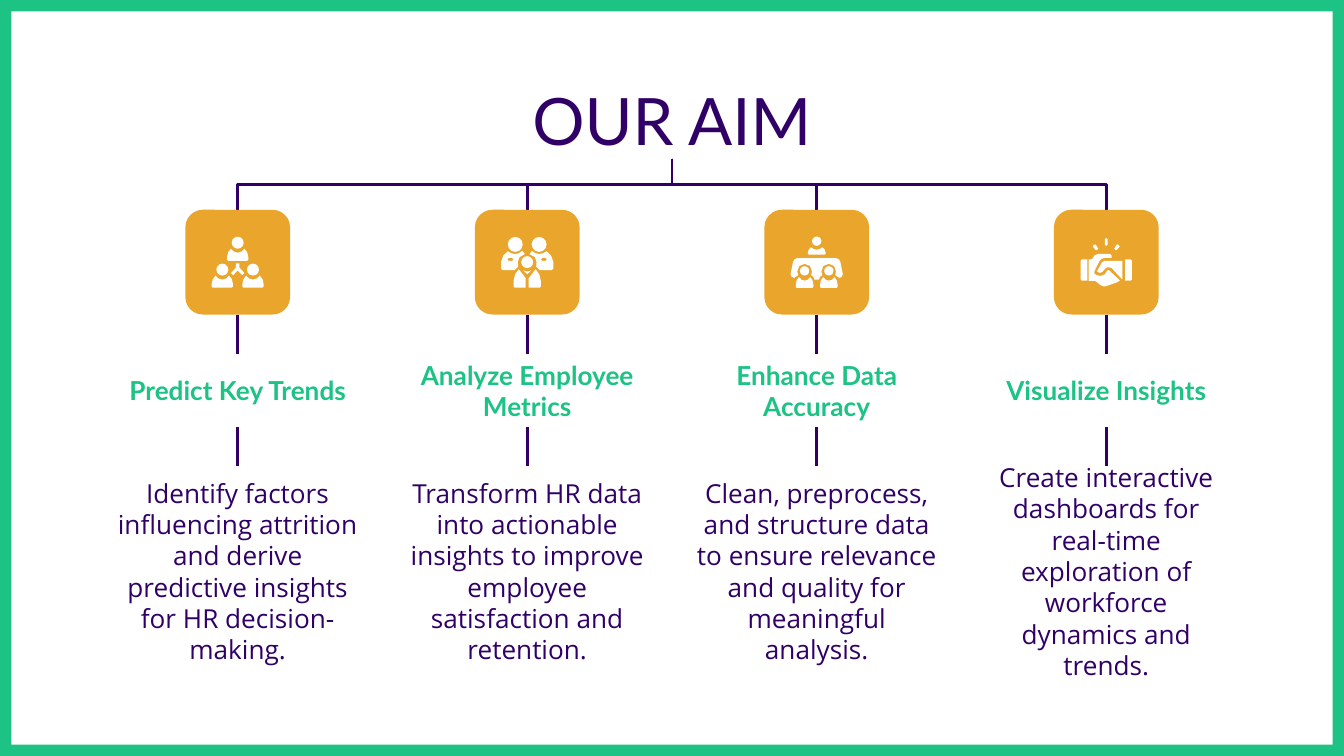
"""Build the "Our aim" slide: a title that branches into four icon columns."""
from dataclasses import dataclass

from lxml.etree import SubElement
from pptx import Presentation
from pptx.dml.color import RGBColor
from pptx.enum.shapes import MSO_CONNECTOR as Link, MSO_SHAPE as Kind
from pptx.enum.text import MSO_ANCHOR as Anchor, MSO_AUTO_SIZE as Fit, PP_ALIGN as Align
from pptx.oxml.ns import qn
from pptx.util import Pt

GREEN, PLUM, GOLD, WHITE = "1DC285", "300067", "EAA62C", "FFFFFF"
MID, STEP, WIDE = 360, 155.1, 145.5
STEM, TOP, SIDE = 85, 112.4, 56.1
HEAD, HEAD_H, BODY, BODY_H = 189.4, 39.6, 249.8, 112.3

Dots = list[tuple[float, float]]


@dataclass
class Disc:
    x: float
    y: float
    r: float


@dataclass
class Poly:
    loops: list[Dots]


@dataclass
class Card:
    head: str
    text: str
    icon: list[Disc | Poly]


def flip(part: Disc | Poly) -> Disc | Poly:
    if isinstance(part, Disc):
        return Disc(-part.x, part.y, part.r)
    return Poly([[(-x, y) for x, y in loop] for loop in part.loops])


def pair(*parts: Disc | Poly) -> list[Disc | Poly]:
    return [*parts, *map(flip, parts)]


def whole(half: Dots) -> Poly:
    return Poly([half + [(-x, y) for x, y in reversed(half)]])


def bust(x: float, y: float, w: float, h: float) -> Poly:
    half = [(0, .33), (-.18, .24), (-.32, 0), (-.45, .3), (-.5, .7), (-.5, .9), (-.44, 1)]
    return Poly([[(x + a * w, y + b * h) for a, b in loop] for loop in whole(half).loops])


FORK = whole([(-.9, .7), (-.9, 2.9), (-3.6, 5.9), (-2.4, 7), (0, 4.5)])
COLLAR = Poly([[(-2.2, 4.4), (0, 6.4), (2.2, 4.4), (0, 5.1)]])
COAT = Poly([[(-4.5, 3.8), (-6.5, 6.5), (-7.3, 10), (-7.3, 13), (-6.7, 13.7),
              (-.8, 13.7), (-.8, 8.6)]])
BACK = Poly([[(-10.4, -5.8), (-12.8, -3.5), (-14, 0), (-14, 3.4), (-13.2, 4.3),
              (-6.8, 4.3), (-4.8, 2.4), (-5, 0), (-4.2, -2.6), (-1.2, -4.3),
              (-2.6, -6), (-4.4, -4.8), (-6.5, -4.3), (-8.6, -4.8)],
             [(-9.9, -2.2), (-8, -2.2), (-7.3, -1.4), (-8, -.7), (-9.9, -.7), (-10.6, -1.4)]])
TABLE = whole([(-10.4, -2.2), (-12, -1.4), (-12.7, 0), (-14, 6.5), (-13.3, 8), (-12, 8.4),
               (-9.9, 7), (-10.4, 5), (-9.3, 2), (-6.5, .9), (-3.6, 2), (-2.5, 5),
               (-3, 7), (-1.8, 7.8), (-1.2, 9.4)])
RAY = Poly([[(-.7, -12.3), (0, -13), (.7, -12.3), (.7, -9.4), (0, -8.7), (-.7, -9.4)]])
SPARK = Poly([[(-6.5, -9.4), (-7.2, -8.4), (-5.8, -6.6), (-4.9, -6.4), (-4.3, -7.3),
               (-5.6, -9.3)]])
CUFF = Poly([[(-10.1, -1.4), (-13, -1.4), (-13.7, -.8), (-13.7, 9.3), (-13, 10), (-10.1, 10)]])
HAND = Poly([[(-.9, -.7), (-2.2, 0), (-5, 5), (-3.4, 5.8), (-2, 5.2), (-.7, 3.6), (.2, 2.9),
              (1.4, 2.7), (2.9, 3.1), (8.6, 9.3), (8.6, -.7)]])
PALM = Poly([[(-4.4, -4.4), (-6.3, -3.6), (-7.3, -2), (-8, -1.5), (-9.4, -1.4), (-9.4, 10),
              (-6, 10), (-3, 12.3), (-1.5, 13), (-.5, 13), (5.8, 10.8), (7.3, 9.8),
              (1.4, 4.3), (.6, 4.4), (-.8, 6.5), (-2.9, 7.4), (-5, 7), (-6.4, 6.2),
              (-6.4, 5), (-3.6, -.7), (-2.5, -1.8), (-.8, -2.2), (2.9, -2.2),
              (2.8, -3.6), (2, -4.4)]])

CARDS = [
    Card("Predict Key Trends",
         "Identify factors influencing attrition and derive predictive insights "
         "for HR decision-making.",
         [Disc(0, -10.4, 3.2), bust(0, -7.2, 11.4, 6.5), FORK,
          *pair(Disc(-8.2, 4, 3.2), bust(-8.2, 7.2, 11.4, 6.5))]),
    Card("Analyze Employee Metrics",
         "Transform HR data into actionable insights to improve employee "
         "satisfaction and retention.",
         [Disc(0, 0, 3.2), COLLAR, *pair(Disc(-6.4, -9.5, 4), COAT, BACK)]),
    Card("Enhance Data Accuracy",
         "Clean, preprocess, and structure data to ensure relevance and quality "
         "for meaningful analysis.",
         [Disc(0, -11.2, 2.5), bust(0, -8, 9.4, 4), TABLE,
          *pair(Disc(-6.5, 4.7, 2.5), bust(-6.5, 8, 9.4, 5.8))]),
    Card("Visualize Insights",
         "Create interactive dashboards for real-time exploration of workforce "
         "dynamics and trends.",
         [RAY, *pair(SPARK, CUFF), HAND, PALM]),
]


def tint(code: str) -> RGBColor:
    return RGBColor.from_string(code)


def paint(shape, code: str) -> None:
    shape.shadow.inherit = False
    shape.fill.solid()
    shape.fill.fore_color.rgb = tint(code)
    shape.line.fill.background()


def write(box, text: str, size: float, font: str, code: str, bold: bool = False,
          anchor=Anchor.MIDDLE) -> None:
    frame = box.text_frame
    frame.word_wrap, frame.auto_size, frame.vertical_anchor = True, Fit.NONE, anchor
    frame.margin_left = frame.margin_right = Pt(7.2)
    frame.margin_top = frame.margin_bottom = Pt(7.2)
    para = frame.paragraphs[0]
    para.alignment = Align.CENTER
    run = para.add_run()
    run.text = text
    run.font.size, run.font.name, run.font.bold = Pt(size), font, bold
    run.font.color.rgb = tint(code)


def label(slide, x: float, y: float, h: float, *style) -> None:
    box = slide.shapes.add_textbox(Pt(x - WIDE / 2), Pt(y), Pt(WIDE), Pt(h))
    write(box, *style)


def join(slide, kind, x1: float, y1: float, x2: float, y2: float):
    line = slide.shapes.add_connector(kind, Pt(x1), Pt(y1), Pt(x2), Pt(y2))
    line.line.color.rgb = tint(PLUM)
    line.line.width = Pt(1.5)
    SubElement(line._element.spPr, qn("a:effectLst"))
    return line


def branch(slide, x: float) -> None:
    side = 1 if x < MID else -1
    mid_x, mid_y = (x + MID) / 2, (STEM + TOP) / 2
    drop, span = side * (TOP - STEM) / 2, abs(x - MID) / 2
    line = join(slide, Link.ELBOW, mid_x - drop, mid_y - span, mid_x + drop, mid_y + span)
    line._element.spPr.xfrm.set("rot", str((90 if side > 0 else 270) * 60000))


def draw(slide, icon: list[Disc | Poly], x: float, y: float) -> None:
    group = slide.shapes.add_group_shape().shapes
    for part in icon:
        if isinstance(part, Disc):
            left, top = x + part.x - part.r, y + part.y - part.r
            shape = group.add_shape(Kind.OVAL, Pt(left), Pt(top), Pt(2 * part.r), Pt(2 * part.r))
        else:
            first, *rest = [[(Pt(x + a), Pt(y + b)) for a, b in loop] for loop in part.loops]
            pen = group.build_freeform(*first[0])
            pen.add_line_segments(first[1:])
            for loop in rest:
                pen.move_to(*loop[0])
                pen.add_line_segments(loop[1:])
            shape = pen.convert_to_shape()
        paint(shape, WHITE)


def column(slide, card: Card, x: float) -> None:
    branch(slide, x)
    tile = slide.shapes.add_shape(Kind.ROUNDED_RECTANGLE, Pt(x - SIDE / 2), Pt(TOP),
                                  Pt(SIDE), Pt(SIDE))
    paint(tile, GOLD)
    draw(slide, card.icon, x, TOP + SIDE / 2)
    join(slide, Link.STRAIGHT, x, TOP + SIDE, x, HEAD)
    label(slide, x, HEAD, HEAD_H, card.head, 14, "Lato", GREEN, True)
    join(slide, Link.STRAIGHT, x, HEAD + HEAD_H, x, BODY)
    label(slide, x, BODY, BODY_H, card.text, 14, "Open Sans", PLUM)


def main() -> None:
    deck = Presentation()
    deck.slide_width, deck.slide_height = Pt(720), Pt(405)
    slide = deck.slides.add_slide(deck.slide_layouts[5])
    slide.background.fill.solid()
    slide.background.fill.fore_color.rgb = tint(WHITE)
    edge = slide.shapes.add_shape(Kind.FRAME, 0, 0, Pt(720), Pt(405))
    edge.adjustments[0] = 0.015
    paint(edge, GREEN)
    title = slide.shapes.title
    title.left, title.top, title.width, title.height = Pt(56.5), Pt(36), Pt(607), Pt(45)
    write(title, "OUR AIM", 35, "Lato", PLUM, anchor=Anchor.TOP)
    for i, card in enumerate(CARDS):
        column(slide, card, MID + STEP * (i - 1.5))
    deck.save("out.pptx")


if __name__ == "__main__":
    main()
